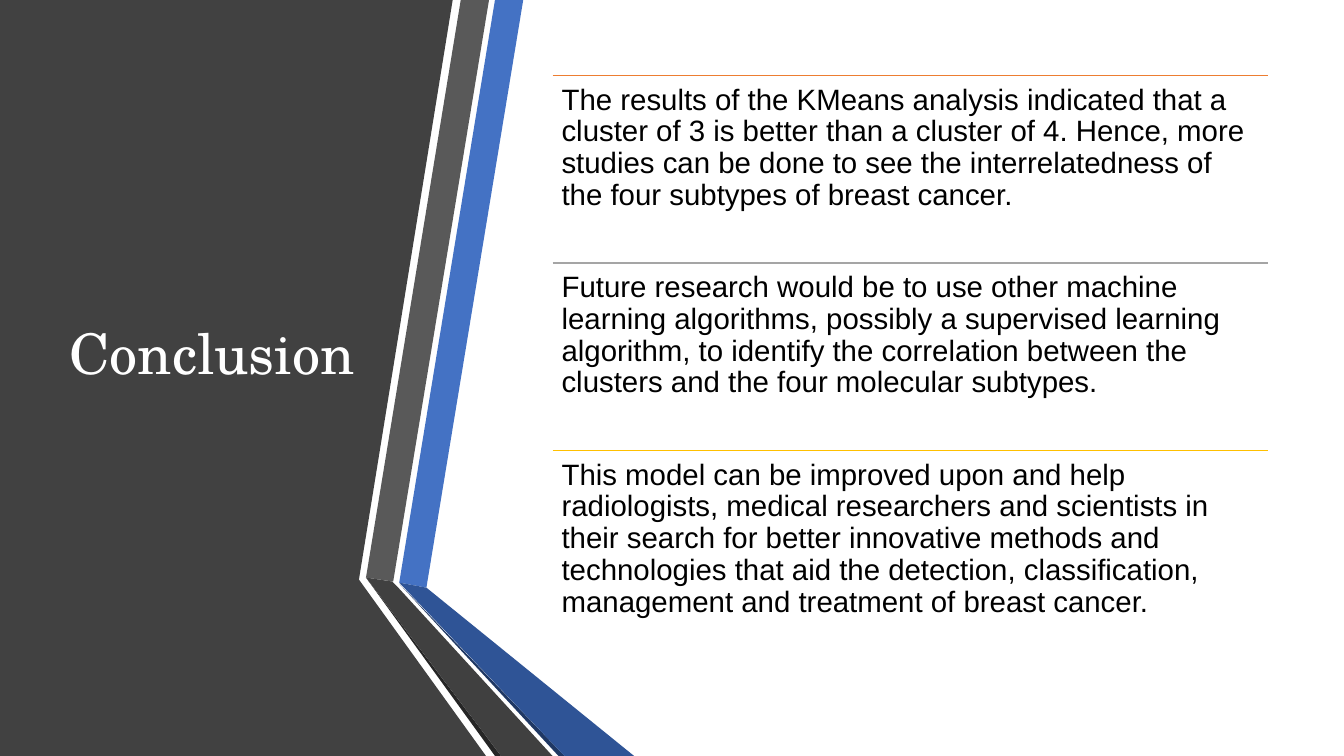
from pptx import Presentation
from pptx.dml.color import RGBColor
from pptx.enum.shapes import MSO_CONNECTOR
from pptx.enum.text import MSO_ANCHOR, PP_ALIGN
from pptx.oxml.ns import qn
from pptx.util import Inches, Pt
from lxml import etree

STRAIGHT = MSO_CONNECTOR.STRAIGHT
TOP, MIDDLE = MSO_ANCHOR.TOP, MSO_ANCHOR.MIDDLE
LEFT = PP_ALIGN.LEFT

WHITE = RGBColor(0xFF, 0xFF, 0xFF)
BLACK = RGBColor(0x00, 0x00, 0x00)
PANEL = RGBColor(0x41, 0x41, 0x41)
BLUE = RGBColor(0x44, 0x72, 0xC4)
BLUE_FOLD = RGBColor(0x2F, 0x54, 0x96)
BLUE_EDGE = RGBColor(0x1F, 0x38, 0x64)
GRAY = RGBColor(0x59, 0x59, 0x59)
GRAY_FOLD = RGBColor(0x40, 0x40, 0x40)
GRAY_EDGE = RGBColor(0x26, 0x26, 0x26)
ORANGE = RGBColor(0xED, 0x7D, 0x31)
SILVER = RGBColor(0xA5, 0xA5, 0xA5)
GOLD = RGBColor(0xFF, 0xC0, 0x00)

# Outlines in inches, back to front
BANDS = [
    (PANEL, [(0, 0), (4.49, 0), (3.56, 5.75), (4.82, 7.5), (0, 7.5)]),
    (BLUE, [(3.96, 5.78), (4.23, 5.83), (5.19, 0), (4.91, 0)]),
    (GRAY, [(4.85, 0), (4.57, 0), (3.63, 5.73), (3.9, 5.77)]),
    (GRAY_EDGE, [(3.63, 5.73), (4.91, 7.5), (4.97, 7.5)]),
    (BLUE_EDGE, [(3.96, 5.79), (5.54, 7.5), (5.6, 7.5)]),
    (BLUE_FOLD, [(3.96, 5.78), (5.6, 7.5), (6.29, 7.5), (4.23, 5.83)]),
    (GRAY_FOLD, [(5.48, 7.5), (3.95, 5.83), (3.89, 5.77), (3.63, 5.73),
                 (4.97, 7.5)]),
]

CONCLUSIONS = [
    (ORANGE, "The results of the KMeans analysis indicated that a cluster of 3 "
             "is better than a cluster of 4. Hence, more studies can be done to "
             "see the interrelatedness of the four subtypes of breast cancer."),
    (SILVER, "Future research would be to use other machine learning "
             "algorithms, possibly a supervised learning algorithm, to identify "
             "the correlation between the clusters and the four molecular "
             "subtypes."),
    (GOLD, "This model can be improved upon and help radiologists, medical "
           "researchers and scientists in their search for better innovative "
           "methods and technologies that aid the detection, classification, "
           "management and treatment of breast cancer."),
]
LIST_LEFT, LIST_TOP, LIST_WIDTH, ROW_HEIGHT = 5.48, 0.75, 7.1, 1.86


def add_band(slide, color, points):
    corners = [(Inches(x), Inches(y)) for x, y in points]
    builder = slide.shapes.build_freeform(*corners[0], scale=1.0)
    builder.add_line_segments(corners[1:], close=True)
    sp = builder.convert_to_shape()
    sp.shadow.inherit = False
    sp.fill.solid()
    sp.fill.fore_color.rgb = color
    sp.line.fill.background()


def add_rule(slide, top, color):
    line = slide.shapes.add_connector(
        STRAIGHT, Inches(LIST_LEFT), Inches(top),
        Inches(LIST_LEFT + LIST_WIDTH), Inches(top))
    line.line.color.rgb = color
    line.line.width = Pt(1)
    etree.SubElement(line._element.spPr, qn("a:effectLst"))


def write_text(sp, text, font, size, color, anchor, inset_x, inset_y):
    tf = sp.text_frame
    tf.word_wrap = True
    tf.vertical_anchor = anchor
    tf.margin_left = tf.margin_right = Inches(inset_x)
    tf.margin_top = tf.margin_bottom = Inches(inset_y)
    p = tf.paragraphs[0]
    p.alignment = LEFT
    p.line_spacing = 0.9
    r = p.add_run()
    r.text = text
    r.font.name = font
    r.font.size = Pt(size)
    r.font.color.rgb = color


def add_title(slide, text):
    title = slide.shapes.title
    title.left, title.top = Inches(0.59), Inches(0.75)
    title.width, title.height = Inches(3.04), Inches(5.58)
    write_text(title, text, "TeX Gyre Schola", 40, WHITE, MIDDLE, 0.1, 0.05)
    # Bring the title in front of the dark panel
    slide.shapes._spTree.append(title._element)


def add_conclusion(slide, top, color, text):
    add_rule(slide, top, color)
    box = slide.shapes.add_textbox(Inches(LIST_LEFT), Inches(top),
                                   Inches(LIST_WIDTH), Inches(ROW_HEIGHT))
    write_text(box, text, "Arial", 21, BLACK, TOP, 0.09, 0.09)


def main():
    prs = Presentation()
    prs.slide_width, prs.slide_height = Inches(13.33), Inches(7.5)
    slide = prs.slides.add_slide(prs.slide_layouts[5])

    # Folded bands and title
    for color, points in BANDS:
        add_band(slide, color, points)
    add_title(slide, "Conclusion")

    # Ruled list of conclusions
    for i, (color, text) in enumerate(CONCLUSIONS):
        add_conclusion(slide, LIST_TOP + i * ROW_HEIGHT, color, text)

    prs.save("out.pptx")


if __name__ == "__main__":
    main()
